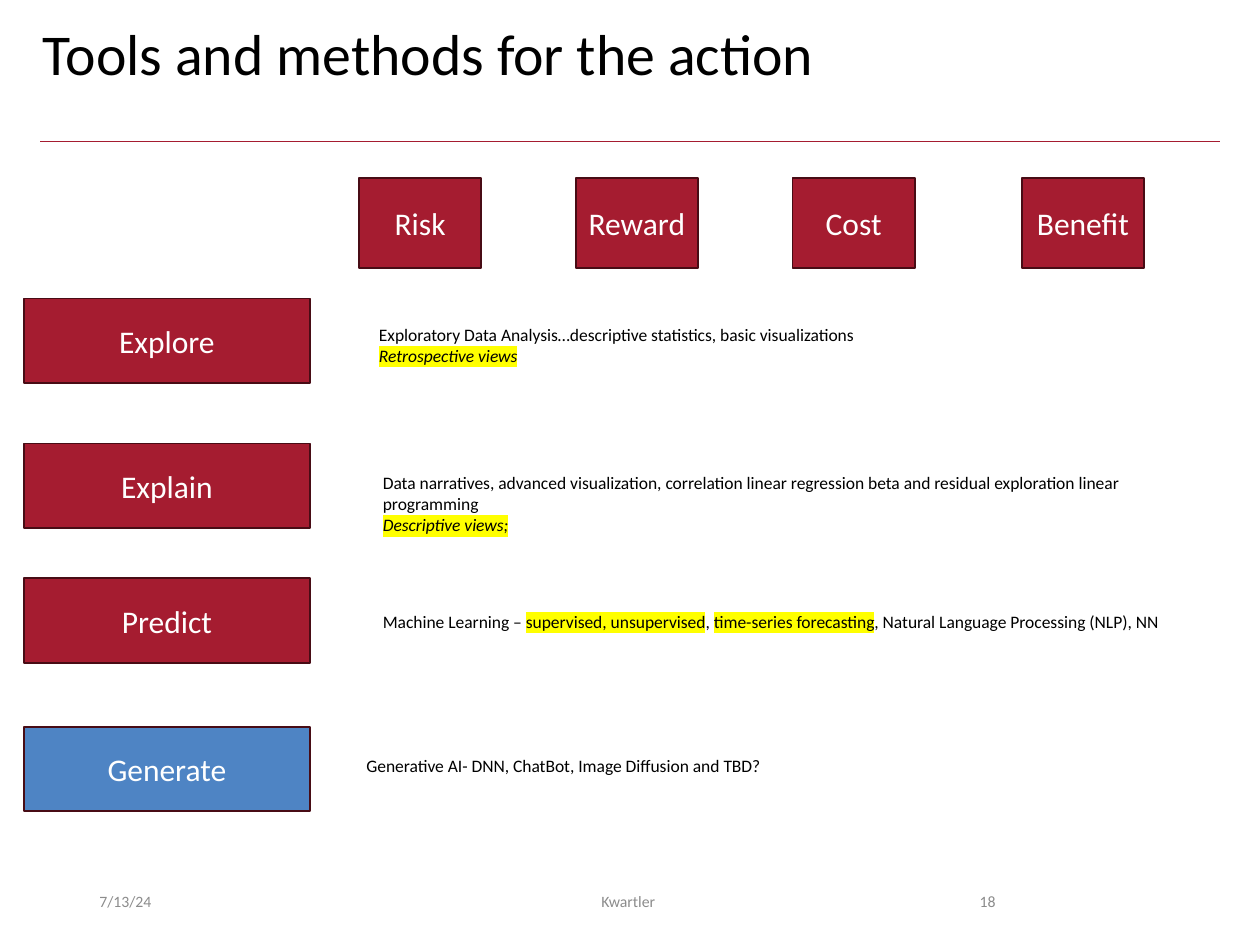
from lxml.etree import SubElement
from pptx import Presentation
from pptx.dml.color import RGBColor
from pptx.enum.shapes import MSO_CONNECTOR, MSO_SHAPE
from pptx.enum.text import MSO_ANCHOR as Anchor, PP_ALIGN as Align
from pptx.oxml.ns import qn
from pptx.util import Inches, Pt

COLORS = {"crimson": "A51C30", "edge": "480C15", "blue": "4E84C4", "white": "FFFFFF",
          "black": "000000", "gray": "8C8C8C", "yellow": "FFFF00"}
FONT = "Calibri"
TITLE = "Tools and methods for the action"
CRITERIA = [("Risk", 2.85), ("Reward", 4.57), ("Cost", 6.29), ("Benefit", 8.11)]
ACTIONS = [("Explore", 2.37, "crimson"), ("Explain", 3.52, "crimson"),
           ("Predict", 4.59, "crimson"), ("Generate", 5.77, "blue")]
METHODS = [
    (2.91, 2.52, 0.44, [
        [("Exploratory Data Analysis…descriptive statistics, basic visualizations", "")],
        [("Retrospective views", "hi")]]),
    (2.94, 3.7, 0.61, [
        [("Data narratives, advanced visualization, correlation linear regression beta "
          "and residual exploration linear programming", "")],
        [("Descriptive views;", "hi")]]),
    (2.94, 4.8, 0.27, [
        [("Machine Learning – ", ""), ("supervised, unsupervised", "h"), (", ", ""),
         ("time-series forecasting", "h"),
         (", Natural Language Processing (NLP), NN", "")]]),
    (2.81, 5.94, 0.27, [
        [("Generative AI- DNN, ChatBot, Image Diffusion and TBD?", "")]]),
]
FOOTERS = [("7/13/24", 0.69, 2.25, Align.LEFT), ("Kwartler ", 3.31, 3.38, Align.CENTER),
           ("18", 7.06, 0.94, Align.RIGHT)]


def rgb(name):
    return RGBColor.from_string(COLORS[name])


def highlight(r):
    rPr = r._r.get_or_add_rPr()
    mark = SubElement(rPr, qn("a:highlight"))
    SubElement(mark, qn("a:srgbClr"), val=COLORS["yellow"])
    rPr.find(qn("a:solidFill")).addnext(mark)


def write(sp, paragraphs, size, color, align=Align.LEFT, anchor=Anchor.TOP, spacing=None):
    tf = sp.text_frame
    tf.word_wrap = True
    tf.vertical_anchor = anchor
    for i, runs in enumerate(paragraphs):
        p = tf.add_paragraph() if i else tf.paragraphs[0]
        p.alignment = align
        if spacing:
            p.line_spacing = spacing
        for text, style in runs:
            r = p.add_run()
            r.text = text
            r.font.name = FONT
            r.font.size = Pt(size)
            r.font.color.rgb = rgb(color)
            if "i" in style:
                r.font.italic = True
            if "h" in style:
                highlight(r)


def add_text(s, box, paragraphs, size, color, **layout):
    sp = s.shapes.add_textbox(*map(Inches, box))
    write(sp, paragraphs, size, color, **layout)


def add_block(s, box, label, fill):
    sp = s.shapes.add_shape(MSO_SHAPE.RECTANGLE, *map(Inches, box))
    sp.shadow.inherit = False
    sp.fill.solid()
    sp.fill.fore_color.rgb = rgb(fill)
    sp.line.color.rgb = rgb("edge")
    sp.line.width = Pt(1)
    write(sp, [[(label, "")]], 18, "white", align=Align.CENTER, anchor=Anchor.MIDDLE)


def add_rule(s, left, right, y):
    line = s.shapes.add_connector(MSO_CONNECTOR.STRAIGHT, *map(Inches, (left, y, right, y)))
    line.line.color.rgb = rgb("crimson")
    line.line.width = Pt(0.5)
    SubElement(line._element.spPr, qn("a:effectLst"))


def main():
    """Build the slide that matches methods to actions."""
    prs = Presentation()
    prs.slide_width, prs.slide_height = Inches(10), Inches(7.5)
    s = prs.slides.add_slide(prs.slide_layouts[6])
    add_rule(s, 0.32, 9.68, 1.12)
    add_text(s, (0.24, 0.15, 9.07, 0.65), [[(TITLE, "")]], 33, "black", spacing=0.9)
    for label, left, width, align in FOOTERS:
        add_text(s, (left, 6.95, width, 0.4), [[(label, "")]], 9, "gray",
                 align=align, anchor=Anchor.MIDDLE)
    for label, top, fill in ACTIONS:
        add_block(s, (0.19, top, 2.27, 0.67), label, fill)
    for label, left in CRITERIA:
        add_block(s, (left, 1.41, 0.97, 0.72), label, "crimson")
    for left, top, height, paragraphs in METHODS:
        add_text(s, (left, top, 6.43, height), paragraphs, 10, "black")
    prs.save("out.pptx")


if __name__ == "__main__":
    main()
